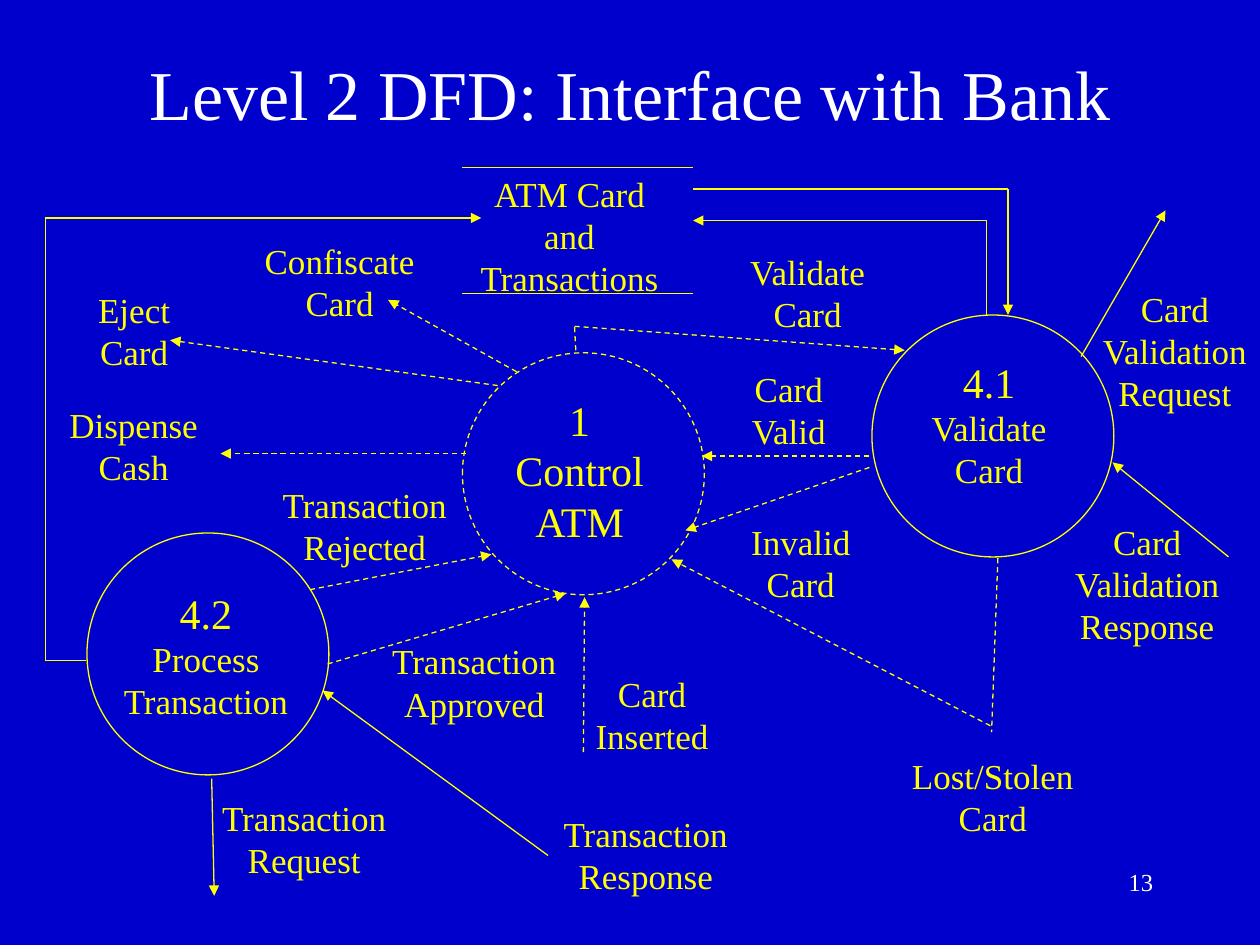
from itertools import pairwise

from lxml import etree
from pptx import Presentation
from pptx.dml.color import RGBColor
from pptx.enum.dml import MSO_LINE
from pptx.enum.shapes import MSO_CONNECTOR, MSO_SHAPE
from pptx.enum.text import MSO_ANCHOR, MSO_AUTO_SIZE, PP_ALIGN
from pptx.oxml.ns import qn
from pptx.util import Inches, Pt

BLUE = RGBColor(0x00, 0x00, 0xCC)
YELLOW = RGBColor(0xFF, 0xFF, 0x00)
WHITE = RGBColor(0xFF, 0xFF, 0xFF)
DASH = MSO_LINE.DASH
OVAL = MSO_SHAPE.OVAL
STRAIGHT = MSO_CONNECTOR.STRAIGHT
CENTER, RIGHT = PP_ALIGN.CENTER, PP_ALIGN.RIGHT
TOP, MIDDLE = MSO_ANCHOR.TOP, MSO_ANCHOR.MIDDLE
FIT, FIXED = MSO_AUTO_SIZE.SHAPE_TO_FIT_TEXT, MSO_AUTO_SIZE.NONE
FONT = "Times New Roman"
LEADING = 1.2
SLACK = 0.03
PAGE = (0, 0, 10, 7.5)
SIZE = 1.92

LABELS = [
    (8.64, 2.23, 1.37, "Card|Validation|Request"),
    (8.42, 4.08, 1.37, "Card|Validation|Response"),
    (4.63, 5.29, 1.09, "Card|Inserted"),
    (5.84, 1.94, 1.14, "Validate|Card"),
    (5.85, 2.87, 0.82, "Card|Valid"),
    (5.86, 4.08, 0.99, "Invalid|Card"),
    (1.66, 6.27, 1.51, "Transaction|Request"),
    (4.37, 6.4, 1.51, "Transaction|Response"),
    (7.14, 5.94, 1.48, "Lost/Stolen|Card"),
    (0.68, 2.24, 0.77, "Eject|Card"),
    (2, 1.85, 1.39, "Confiscate|Card"),
    (3.01, 5.03, 1.51, "Transaction|Approved"),
    (2.14, 3.79, 1.51, "Transaction|Rejected"),
    (0.45, 3.15, 1.22, "Dispense|Cash"),
]

DATA_FLOWS = [
    [(9.75, 4.42), (8.83, 3.67)],
    [(5.5, 1.5), (8, 1.5), (8, 2.5)],
    [(7.83, 2.5), (7.83, 1.75), (5.5, 1.75)],
    [(8.58, 2.83), (9.25, 1.67)],
    [(4.35, 6.79), (2.56, 5.48)],
    [(1.68, 6.18), (1.7, 7.11)],
    [(0.68, 5.24), (0.36, 5.24), (0.36, 1.73), (3.82, 1.73)],
]

CONTROL_FLOWS = [
    [(4.63, 5.97), (4.64, 4.74)],
    [(4.57, 2.78), (4.56, 2.59), (7.18, 2.78)],
    [(6.9, 3.62), (5.57, 3.62)],
    [(6.9, 3.71), (5.44, 4.21)],
    [(7.86, 5.76), (5.33, 4.44)],
    [(2.6, 5.27), (4.49, 4.71)],
    [(2.46, 4.68), (3.9, 4.4)],
    [(4.1, 2.95), (3.08, 2.38)],
    [(3.95, 3.06), (1.35, 2.7)],
    [(3.7, 3.6), (1.75, 3.6)],
]


def apply(item, values):
    """Set each named attribute of an item."""
    for name, value in values.items():
        setattr(item, name, value)


def write(slide, box, lines, frame, para, color):
    """Write (text, points) lines in a text box."""
    text = slide.shapes.add_textbox(*map(Inches, box)).text_frame
    apply(text, frame)
    for i, (words, points) in enumerate(lines):
        row = text.paragraphs[0] if i == 0 else text.add_paragraph()
        apply(row, {**para, "line_spacing": Pt(points * LEADING)})
        run = row.add_run()
        run.text = words
        apply(run.font, {"name": FONT, "size": Pt(points)})
        run.font.color.rgb = color


def label(slide, box, lines):
    """Write centred yellow lines from the top of a box, with slack at its sides."""
    left, top, wide = box
    high = 0.1 + sum(points for _, points in lines) * LEADING / 72
    area = (left - SLACK, top, wide + 2 * SLACK, high)
    frame = {"word_wrap": False, "auto_size": FIT, "vertical_anchor": TOP}
    write(slide, area, lines, frame, {"alignment": CENTER}, YELLOW)


def stroke(line, dash):
    """Give an outline its colour, width and dash."""
    line.color.rgb = YELLOW
    apply(line, {"width": Pt(0.75), "dash_style": dash})


def flow(slide, box, points, dash=None, arrow=True):
    """Draw straight runs through points, with an arrow at the last."""
    left, top = box[:2]
    for (x1, y1), (x2, y2) in pairwise(points):
        ends = (left + x1, top + y1, left + x2, top + y2)
        line = slide.shapes.add_connector(STRAIGHT, *map(Inches, ends))
        stroke(line.line, dash)
        props = line._element.spPr
        if arrow and (x2, y2) == points[-1]:
            etree.SubElement(props.get_or_add_ln(), qn("a:tailEnd"), type="triangle")
        etree.SubElement(props, qn("a:effectLst"))


def process(slide, box, inset, lines, dash=None):
    """Draw a round process with its text at an inset (x, y, width)."""
    left, top = box[:2]
    ring = slide.shapes.add_shape(OVAL, *map(Inches, box))
    ring.shadow.inherit = False
    ring.fill.background()
    stroke(ring.line, dash)
    x, y, wide = inset
    label(slide, (left + x, top + y, wide), lines)


def store(slide, box, lines):
    """Draw a data store as text between two rules."""
    left, top, wide, high = box
    for y in (0, high):
        flow(slide, box, [(0, y), (wide, y)], arrow=False)
    label(slide, (left + 0.04, top - 0.01, 1.62), lines)


def title(slide, box, words):
    """Write the title in the middle of its box."""
    frame = {"word_wrap": True, "auto_size": FIXED, "vertical_anchor": MIDDLE}
    write(slide, box, [(words, 40)], frame, {"alignment": CENTER}, WHITE)


def number(slide, box, words):
    """Write the page number at the right of its box."""
    frame = {"word_wrap": True, "auto_size": FIXED, "vertical_anchor": TOP}
    write(slide, box, [(words, 14)], frame, {"alignment": RIGHT}, WHITE)


def chart(slide, box):
    """Place the processes, the store, the flows and their labels."""
    left, top = box[:2]
    process(slide, (left + 6.92, top + 2.5, SIZE, SIZE), (0.36, 0.28, 1.14),
            [("4.1", 24), ("Validate", 20), ("Card", 20)])
    process(slide, (left + 0.69, top + 4.23, SIZE, SIZE), (0.19, 0.38, 1.51),
            [("4.2", 24), ("Process", 20), ("Transaction", 20)])
    process(slide, (left + 3.67, top + 2.8, SIZE, SIZE), (0.32, 0.28, 1.22),
            [("1", 24), ("Control", 24), ("ATM", 24)], DASH)
    store(slide, (left + 3.67, top + 1.33, 1.83, 1),
          [("ATM Card", 20), ("and", 20), ("Transactions", 20)])
    for points in DATA_FLOWS:
        flow(slide, box, points)
    for points in CONTROL_FLOWS:
        flow(slide, box, points, DASH)
    flow(slide, box, [(7.92, 4.43), (7.87, 5.81)], DASH, arrow=False)
    for x, y, wide, words in LABELS:
        lines = [(word, 20) for word in words.split("|")]
        label(slide, (left + x, top + y, wide), lines)


def main():
    """Build and save the slide."""
    deck = Presentation()
    apply(deck, {"slide_width": Inches(10), "slide_height": Inches(7.5)})
    slide = deck.slides.add_slide(deck.slide_layouts[6])
    fill = slide.background.fill
    fill.solid()
    fill.fore_color.rgb = BLUE
    title(slide, (0.75, 0.11, 8.5, 1.25), "Level 2 DFD: Interface with Bank")
    chart(slide, PAGE)
    number(slide, (7.17, 6.83, 2.08, 0.5), "13")
    deck.save("out.pptx")


if __name__ == "__main__":
    main()
